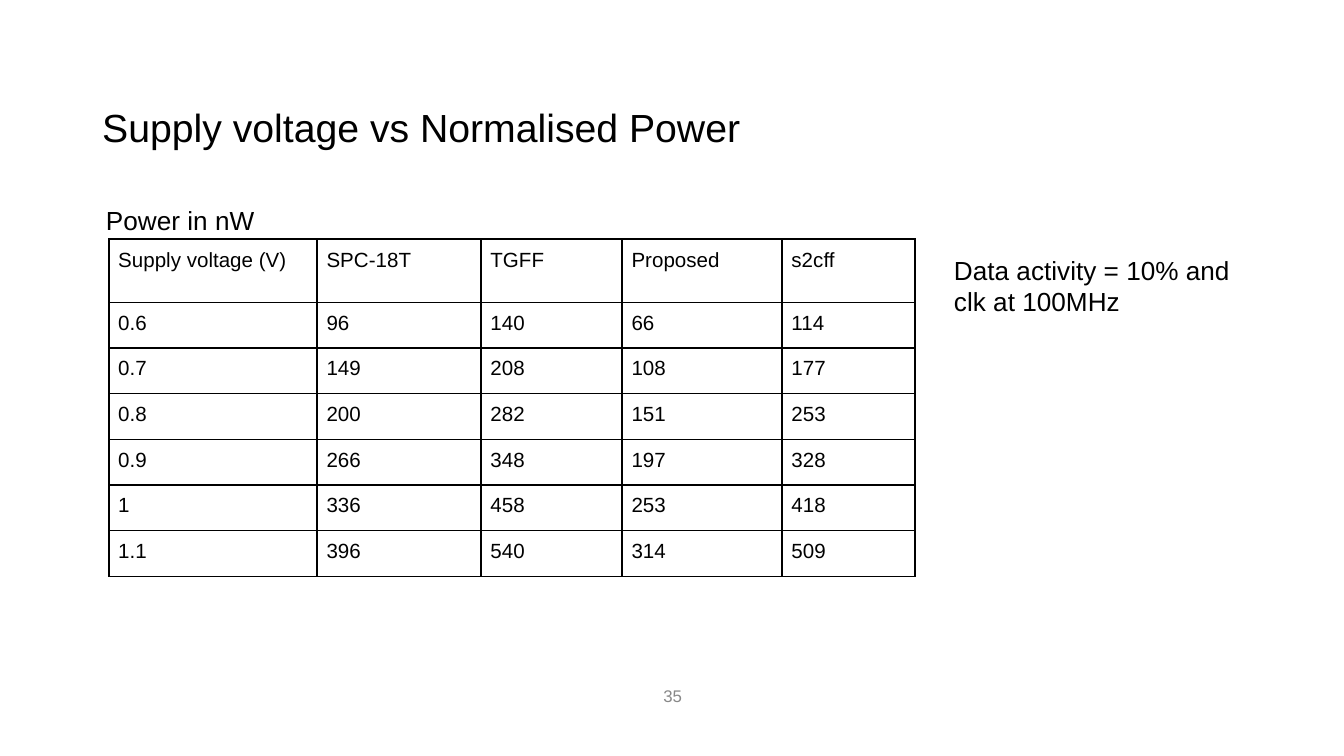
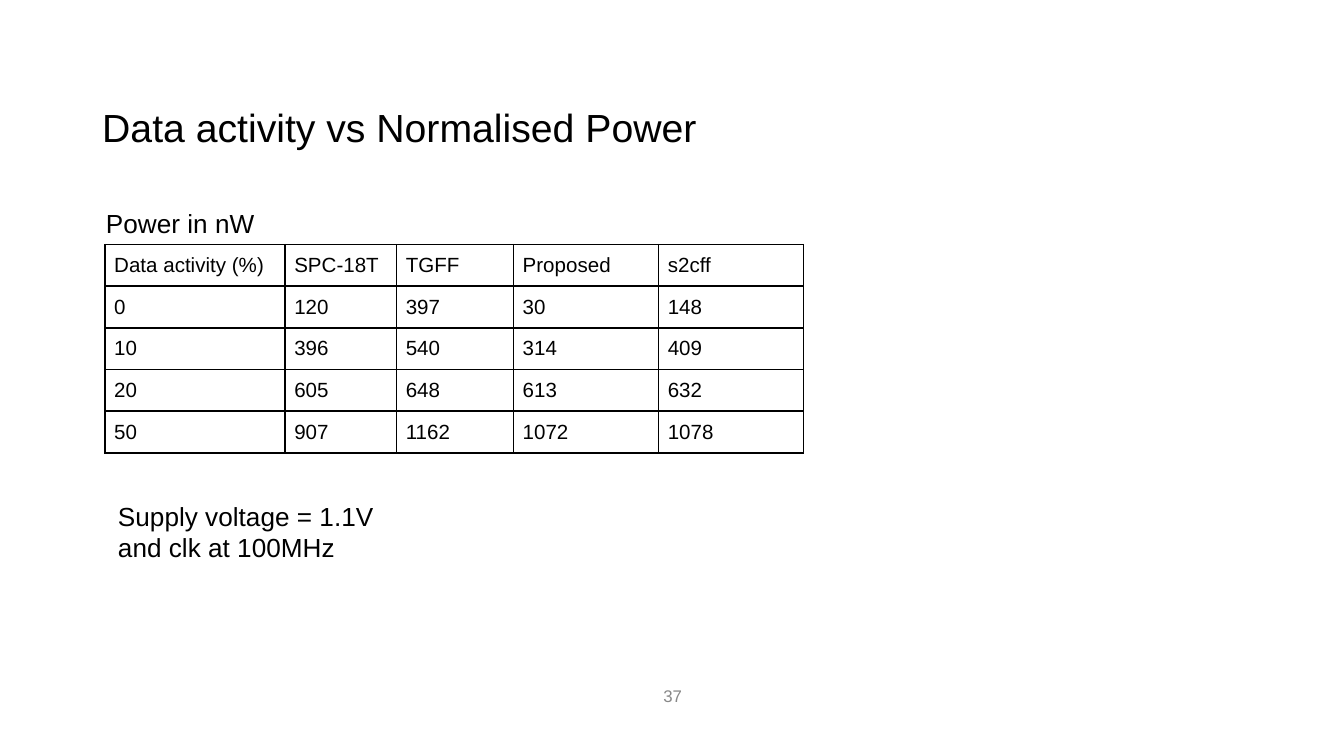
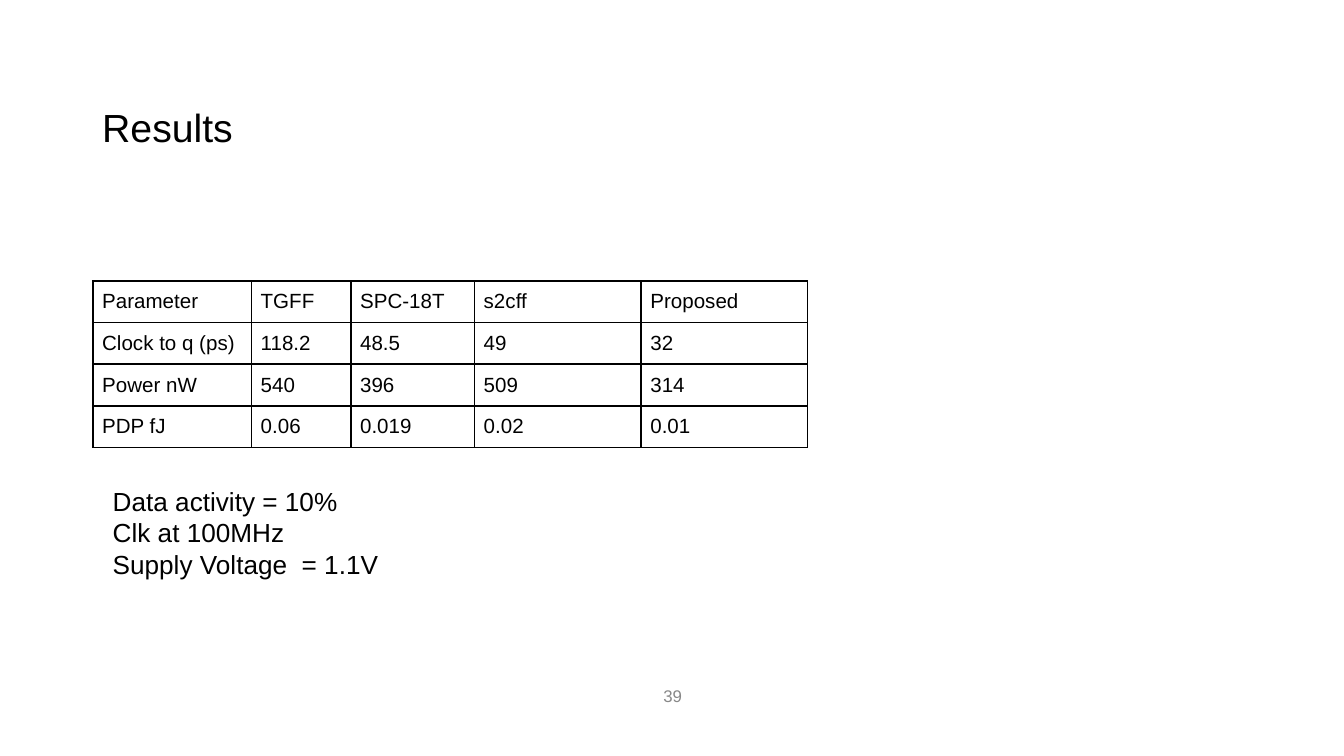
from lxml.etree import SubElement
from pptx import Presentation
from pptx.dml.color import RGBColor
from pptx.enum.text import MSO_ANCHOR, MSO_AUTO_SIZE, PP_ALIGN
from pptx.oxml.ns import qn
from pptx.util import Inches, Pt

BLACK = RGBColor(0x00, 0x00, 0x00)
GREY = RGBColor(0x88, 0x88, 0x88)
FACE = "Arial"
WIDTH = Inches(10)
HEIGHT = WIDTH * 9 // 16
TITLE_ONLY = 5
ROW = 0.31

TITLE = {"size": Pt(21), "name": FACE, "bold": False}
CELL = {"size": Pt(11), "name": FACE, "bold": False}
NOTE = {"size": Pt(14), "name": FACE}
FOOT = {"size": Pt(9), "name": FACE}


def apply(target, values):
    """Set each attribute named in values on target."""
    for name, value in values.items():
        setattr(target, name, value)


def margins(side, top):
    return {
        "margin_left": Inches(side), "margin_right": Inches(side),
        "margin_top": Inches(top), "margin_bottom": Inches(top),
    }


FRAME = {
    "word_wrap": True, "auto_size": MSO_AUTO_SIZE.NONE,
    "vertical_anchor": MSO_ANCHOR.MIDDLE, **margins(0.07, 0.04),
}
NOTE_FRAME = {
    "word_wrap": True, "auto_size": MSO_AUTO_SIZE.SHAPE_TO_FIT_TEXT,
    "vertical_anchor": MSO_ANCHOR.TOP, **margins(0.1, 0.1),
}


def write(frame, lines, font, color=BLACK, align=PP_ALIGN.LEFT):
    """Fill a text frame with one paragraph per line."""
    frame.text = "\n".join(lines)
    for para in frame.paragraphs:
        para.alignment = align
        for run in para.runs:
            apply(run.font, font)
            run.font.color.rgb = color


def add_box(slide, place, lines, font=NOTE, frame=NOTE_FRAME, **look):
    box = slide.shapes.add_textbox(*map(Inches, place))
    apply(box.text_frame, frame)
    write(box.text_frame, lines, font, **look)


def add_slide(deck, title, number):
    """Add a slide with its title and page number."""
    slide = deck.slides.add_slide(deck.slide_layouts[TITLE_ONLY])
    head = slide.shapes.title
    apply(head, {"left": Inches(0.69), "top": Inches(0.61),
                 "width": Inches(8.62), "height": Inches(0.71)})
    apply(head.text_frame, FRAME)
    write(head.text_frame, [title], TITLE)
    head.text_frame.paragraphs[0].line_spacing = 0.9
    add_box(slide, (4.77, 5.03, 0.47, 0.3), [number], FOOT, FRAME,
            color=GREY, align=PP_ALIGN.CENTER)
    return slide


def add_border(cell):
    props = cell._tc.get_or_add_tcPr()
    for side in ("a:lnL", "a:lnR", "a:lnT", "a:lnB"):
        line = SubElement(props, qn(side), w=str(Pt(1)))
        fill = SubElement(line, qn("a:solidFill"))
        SubElement(fill, qn("a:srgbClr"), val=str(BLACK))


def add_grid(slide, left, top, widths, rows, head=ROW, body=ROW):
    """Add a bordered table; head and body are row heights."""
    heights = [head] + [body] * (len(rows) - 1)
    place = (left, top, sum(widths), sum(heights))
    shape = slide.shapes.add_table(len(rows), len(widths), *map(Inches, place))
    table = shape.table
    apply(table, {"first_row": False, "horz_banding": False})
    for col, width in zip(table.columns, widths):
        col.width = Inches(width)
    for row, height, values in zip(table.rows, heights, rows):
        row.height = Inches(height)
        for cell, value in zip(row.cells, values):
            apply(cell, margins(0.07, 0.07))
            add_border(cell)
            cell.fill.background()
            write(cell.text_frame, [value], CELL)


def main():
    deck = Presentation()
    apply(deck, {"slide_width": WIDTH, "slide_height": HEIGHT})

    slide = add_slide(deck, "Supply voltage vs Normalised Power", "35")
    add_grid(slide, 0.81, 1.78, (1.55, 1.22, 1.05, 1.19, 0.99), (
        ("Supply voltage (V)", "SPC-18T", "TGFF", "Proposed", "s2cff"),
        ("0.6", "96", "140", "66", "114"),
        ("0.7", "149", "208", "108", "177"),
        ("0.8", "200", "282", "151", "253"),
        ("0.9", "266", "348", "197", "328"),
        ("1", "336", "458", "253", "418"),
        ("1.1", "396", "540", "314", "509"),
    ), head=0.47, body=0.34)
    add_box(slide, (0.69, 1.42, 2.18, 0.44), ["Power in nW"])
    add_box(slide, (7, 1.79, 2.27, 0.67),
            ["Data activity = 10% and clk at 100MHz"])

    slide = add_slide(deck, "Data activity vs Normalised Power", "37")
    add_grid(slide, 0.78, 1.82, (1.34, 0.83, 0.87, 1.08, 1.08), (
        ("Data activity (%)", "SPC-18T", "TGFF", "Proposed", "s2cff"),
        ("0", "120", "397", "30", "148"),
        ("10", "396", "540", "314", "409"),
        ("20", "605", "648", "613", "632"),
        ("50", "907", "1162", "1072", "1078"),
    ))
    add_box(slide, (0.69, 1.44, 1.79, 0.44), ["Power in nW"])
    add_box(slide, (0.78, 3.62, 2.4, 0.67),
            ["Supply voltage = 1.1V and clk at 100MHz"])

    slide = add_slide(deck, "Results", "39")
    add_grid(slide, 0.69, 2.09, (1.18, 0.74, 0.92, 1.24, 1.24), (
        ("Parameter", "TGFF", "SPC-18T", "s2cff", "Proposed"),
        ("Clock to q (ps)", "118.2", "48.5", "49", "32"),
        ("Power nW", "540", "396", "509", "314"),
        ("PDP fJ", "0.06", "0.019", "0.02", "0.01"),
    ))
    add_box(slide, (0.74, 3.51, 2.6, 0.91),
            ["Data activity = 10%", "Clk at 100MHz", "Supply Voltage  = 1.1V"])

    deck.save("out.pptx")


if __name__ == "__main__":
    main()
